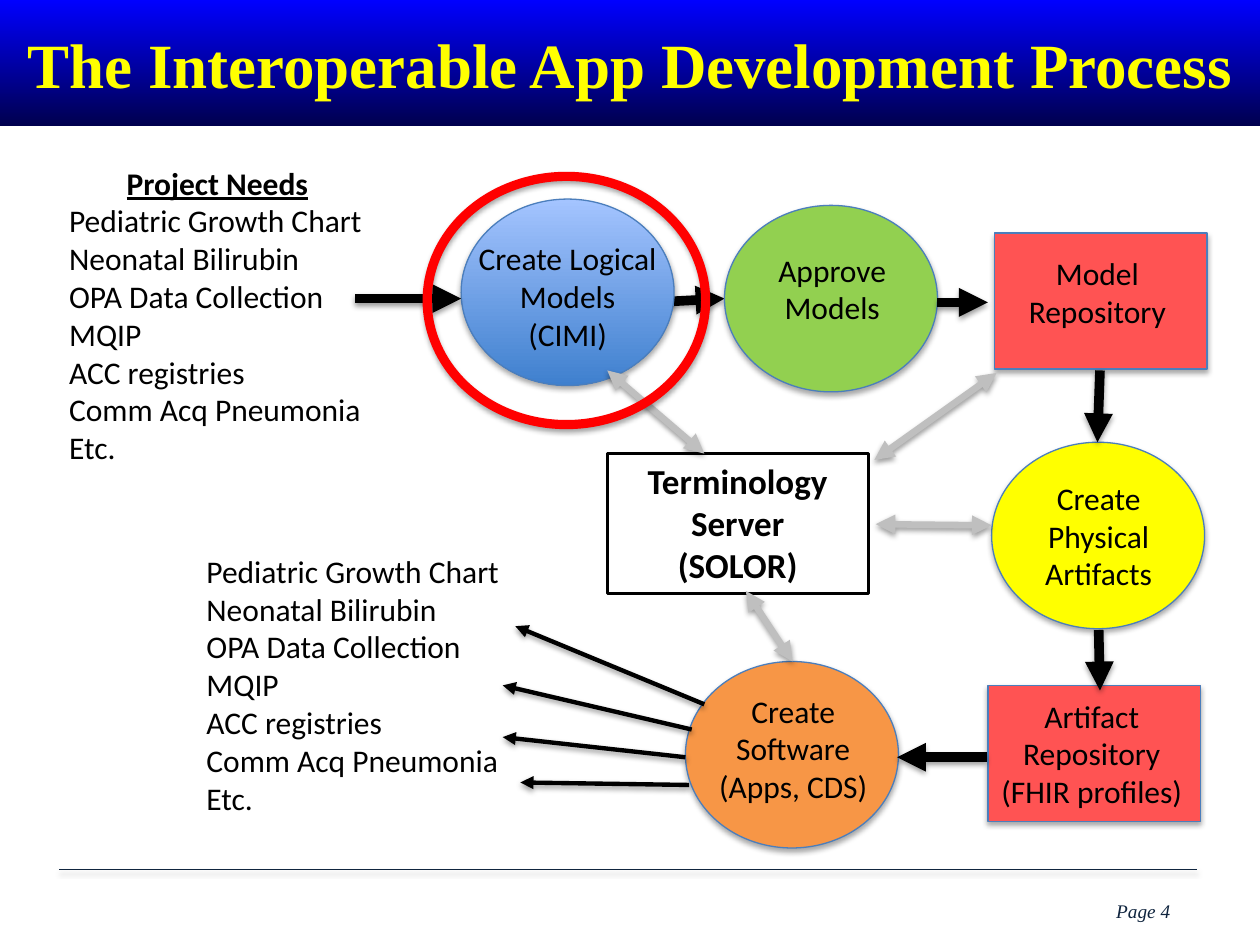
from pptx import Presentation, util as u
from pptx.dml.color import RGBColor
from pptx.enum import shapes, text
from pptx.oxml import parse_xml
from pptx.oxml.ns import nsdecls
from lxml import etree

PX = 9144  # 100 px to the inch
BLACK = RGBColor(0x00, 0x00, 0x00)
GREY = RGBColor(0xBF, 0xBF, 0xBF)
RED = RGBColor(0xFF, 0x00, 0x00)
CORAL = RGBColor(0xFF, 0x53, 0x53)
GREEN = RGBColor(0x92, 0xD0, 0x50)
YELLOW = RGBColor(0xFF, 0xFF, 0x00)
ORANGE = RGBColor(0xF7, 0x96, 0x46)
OUTLINE = RGBColor(0x4B, 0x7E, 0xBC)
SKY = RGBColor(0xA4, 0xC4, 0xFF)
STEEL = RGBColor(0x3F, 0x80, 0xCE)
BLUE = RGBColor(0x00, 0x00, 0xFF)
MIDNIGHT = RGBColor(0x00, 0x00, 0x4F)
NAVY = RGBColor(0x0F, 0x24, 0x3E)
RULE = RGBColor(0x10, 0x25, 0x3F)

SERIF, SANS = "Times New Roman", "Calibri"
OVAL, RECTANGLE = shapes.MSO_SHAPE.OVAL, shapes.MSO_SHAPE.RECTANGLE
LEFT, CENTER = text.PP_ALIGN.LEFT, text.PP_ALIGN.CENTER
OVAL_SIZE, BLOCK_SIZE = (169, 148), (169, 108)

PROJECTS = ["Pediatric Growth Chart", "Neonatal Bilirubin", "OPA Data Collection",
            "MQIP", "ACC registries", "Comm Acq Pneumonia", "Etc."]

# kind, left, top, fill, label lines, label box relative to the shape
STEPS = [
    (OVAL, 366, 158, (SKY, STEEL), ["Create Logical", "Models", "(CIMI)"], (3, 27, 163, 101)),
    (OVAL, 575, 163, GREEN, ["Approve", "Models"], (32, 31, 107, 71)),
    (RECTANGLE, 789, 185, CORAL, ["Model", "Repository"], (17, 12, 130, 71)),
    (OVAL, 787, 351, YELLOW, ["Create", "Physical", "Artifacts"], (32, 24, 106, 101)),
    (RECTANGLE, 784, 544, CORAL, ["Artifact", "Repository", "(FHIR profiles)"], (0, 4, 165, 101)),
    (OVAL, 544, 525, ORANGE, ["Create", "Software", "(Apps, CDS)"], (16, 19, 139, 101)),
]
FLOW = [(282, 237, 366, 237), (744, 240, 784, 240), (873, 294, 871, 351),
        (872, 500, 873, 548), (783, 601, 712, 601)]
TERMINOLOGY_LINKS = [(482, 294, 559, 360), (791, 296, 694, 365),
                     (787, 417, 695, 416), (592, 469, 629, 525)]
OUTPUTS = [(559, 559, 409, 497), (549, 579, 399, 544),
           (544, 601, 399, 585), (547, 623, 413, 621)]


def add_effects(shape, alpha=None, distance=0):
    """Replace the theme shadow by a soft one below, or by none."""
    shadow = "" if alpha is None else (
        f'<a:outerShdw blurRad="40000" dist="{distance}" dir="5400000" rotWithShape="0">'
        f'<a:srgbClr val="000000"><a:alpha val="{alpha}000"/></a:srgbClr></a:outerShdw>')
    shape._element.spPr.append(
        parse_xml(f'<a:effectLst {nsdecls("a")}>{shadow}</a:effectLst>'))


def add_arrow(slide, points, color, width, ends=("tailEnd",)):
    line = slide.shapes.add_connector(
        shapes.MSO_CONNECTOR.STRAIGHT, *(value * PX for value in points))
    line.line.color.rgb = color
    line.line.width = u.Pt(width)
    properties = line.line._get_or_add_ln()
    for end in ends:
        etree.SubElement(properties, properties.tag.replace("}ln", "}" + end), type="triangle")
    add_effects(line, 38, 20000)


def add_figure(slide, kind, box, fill=None, outline=None, width=0.75, shadow=True):
    """Draw a shape; a pair of fill colours runs from top to bottom."""
    shape = slide.shapes.add_shape(kind, *(value * PX for value in box))
    if fill is None:
        shape.fill.background()
    elif isinstance(fill, RGBColor):
        shape.fill.solid()
        shape.fill.fore_color.rgb = fill
    else:
        shape.fill.gradient()
        shape.fill.gradient_angle = 270
        for stop, color in zip(shape.fill.gradient_stops, fill):
            stop.color.rgb = color
    if outline is None:
        shape.line.fill.background()
    else:
        shape.line.color.rgb = outline
        shape.line.width = u.Pt(width)
    if shadow:
        add_effects(shape, 35, 23000)
    else:
        add_effects(shape)
    return shape


def write(shape, lines, size=18, name=SANS, color=BLACK, align=LEFT,
          bold=False, italic=False, wrap=False, anchor=text.MSO_ANCHOR.TOP):
    frame = shape.text_frame
    frame.text = "\n".join(lines)
    frame.word_wrap = wrap
    frame.vertical_anchor = anchor
    for paragraph in frame.paragraphs:
        paragraph.alignment = align
        font = paragraph.runs[0].font
        font.size, font.name, font.bold, font.italic = u.Pt(size), name, bold, italic
        font.color.rgb = color
    return frame


def add_text(slide, box, lines, **style):
    return write(slide.shapes.add_textbox(*(value * PX for value in box)), lines, **style)


def add_header(slide, box):
    add_figure(slide, RECTANGLE, box, (BLUE, MIDNIGHT), shadow=False)
    add_text(slide, box, ["The Interoperable App Development Process"], size=36, name=SERIF,
             color=YELLOW, align=CENTER, bold=True, wrap=True, anchor=text.MSO_ANCHOR.MIDDLE)


def add_footer(slide, left, top, width):
    add_text(slide, (left + 829, top + 19, 79, 29), ["Page 4"],
             size=11, name=SERIF, color=NAVY, italic=True)
    add_arrow(slide, (left, top, left + width, top), RULE, 1, ends=())


def add_project_needs(slide, box):
    frame = add_text(slide, box, ["Project Needs"] + PROJECTS)
    heading = frame.paragraphs[0]
    heading.alignment = CENTER
    heading.runs[0].font.bold = heading.runs[0].font.underline = True


def add_step(slide, kind, left, top, fill, lines, label):
    size = OVAL_SIZE if kind == OVAL else BLOCK_SIZE
    add_figure(slide, kind, (left, top, *size), fill, OUTLINE)
    label_left, label_top, width, height = label
    add_text(slide, (left + label_left, top + label_top, width, height), lines, align=CENTER)


def add_terminology_server(slide, box):
    server = add_figure(slide, RECTANGLE, box, outline=BLACK, width=1.75, shadow=False)
    write(server, ["Terminology", "Server", "(SOLOR)"], size=20,
          align=CENTER, bold=True, wrap=True)
    for points in TERMINOLOGY_LINKS:
        add_arrow(slide, points, GREY, 3.75, ends=("headEnd", "tailEnd"))


def main():
    presentation = Presentation()
    presentation.slide_width, presentation.slide_height = 1000 * PX, 750 * PX
    slide = presentation.slides.add_slide(presentation.slide_layouts[6])

    add_header(slide, (0, 0, 1000, 100))
    add_footer(slide, 47, 690, 903)
    add_arrow(slide, (517, 240, 575, 237), BLACK, 5.5)
    add_project_needs(slide, (45, 125, 255, 283))
    for step in STEPS:
        add_step(slide, *step)
    for points in FLOW:
        add_arrow(slide, points, BLACK, 5.5)
    add_text(slide, (154, 433, 255, 252), PROJECTS)
    add_terminology_server(slide, (482, 360, 207, 111))
    for points in OUTPUTS:
        add_arrow(slide, points, BLACK, 2.5)
    add_figure(slide, OVAL, (339, 140, 221, 197), outline=RED, width=5.25)

    presentation.save("out.pptx")


if __name__ == "__main__":
    main()
